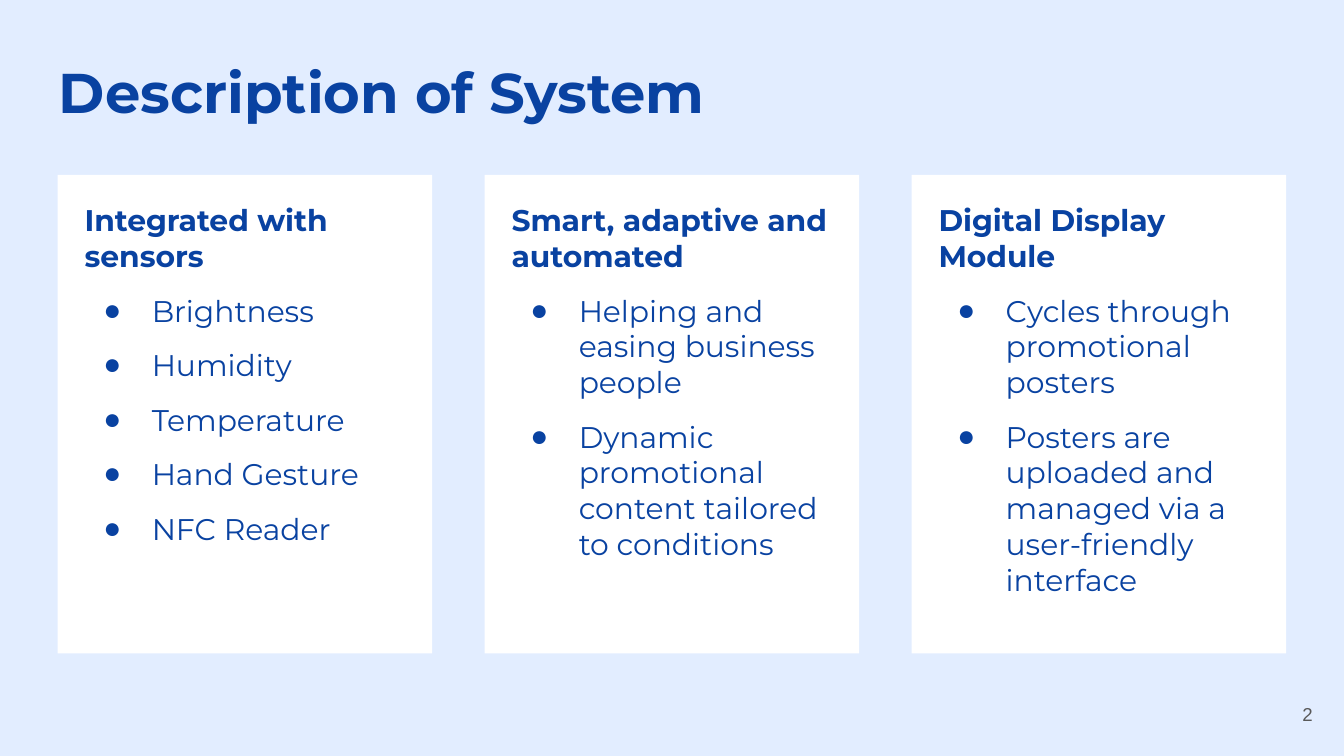
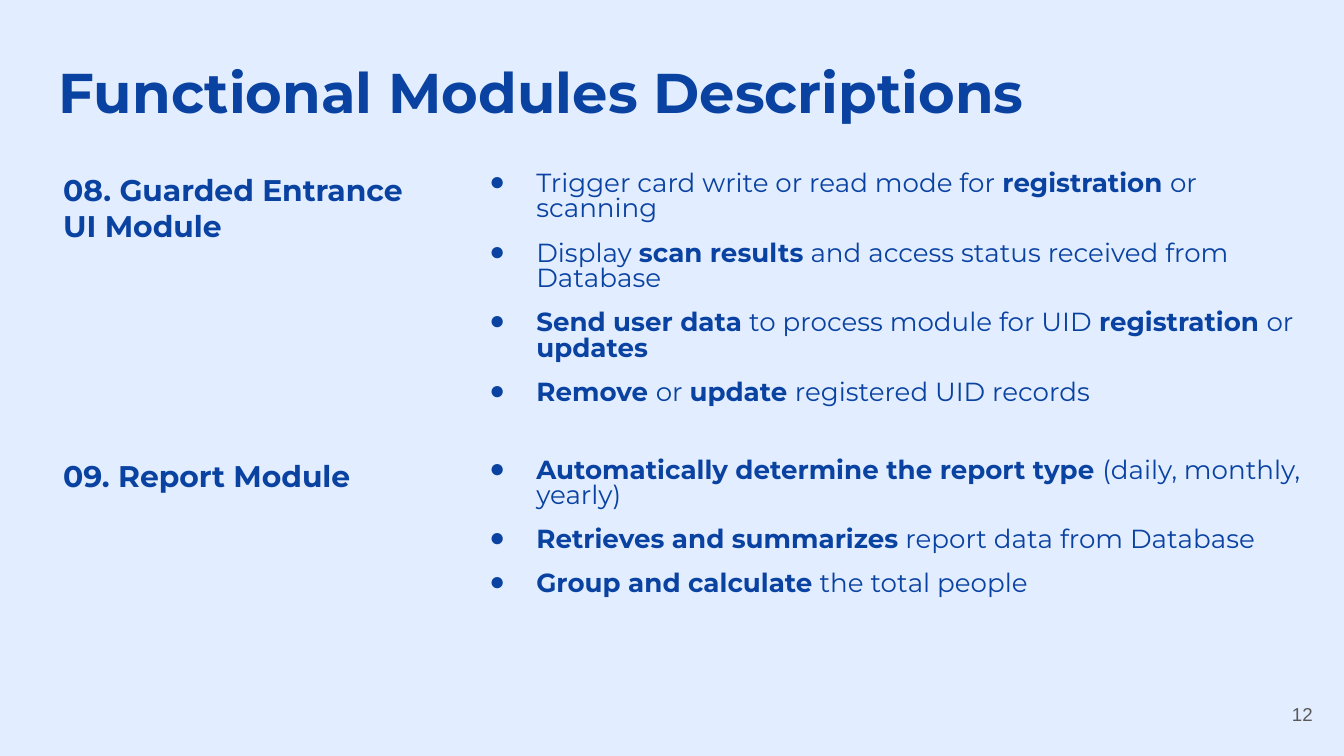
from lxml.etree import SubElement
from pptx import Presentation
from pptx.dml.color import RGBColor
from pptx.enum.shapes import MSO_SHAPE
from pptx.enum.text import MSO_ANCHOR, PP_ALIGN
from pptx.oxml.ns import qn
from pptx.util import Inches, Pt

W = Inches(10)
H = W * 9 // 16
COLORS = {"back": "E2EDFF", "ink": "0942A1", "card": "FFFFFF", "number": "595959"}
FONT, PLAIN_FONT = "Montserrat", "Arial"
MARGIN = W // 100


def share(left, top, width, height):
    return [int(W * left / 100), int(H * top / 100),
            int(W * width / 100), int(H * height / 100)]


TITLE_BOX = share(3.41, 5.87, 93.18, 11.2)
NUMBER_BOX = share(92.65, 90.67, 6, 7.65)
CARDS_BOX = share(4.3, 23.15, 91.4, 63.3)
MODULES_BOX = share(3.7, 21, 94.4, 58.3)
CARD_GAP = W * 39 // 1000
LABEL_SHARE = 0.32
ROW_SHARES = (0.65, 0.35)

CARDS = [
    ("Integrated with sensors",
     ["Brightness", "Humidity", "Temperature", "Hand Gesture", "NFC Reader"]),
    ("Smart, adaptive and automated",
     ["Helping and easing business people",
      "Dynamic promotional content tailored to conditions"]),
    ("Digital Display Module",
     ["Cycles through promotional posters",
      "Posters are uploaded and managed via a user-friendly interface"]),
]

MODULES = [
    ("08. Guarded Entrance UI Module",
     ["Trigger card write or read mode for *registration *or scanning",
      "Display *scan results* and access status received from Database",
      "*Send user data* to process module for UID *registration *or *updates*",
      "*Remove *or *update *registered UID records"]),
    ("09. Report Module",
     ["*Automatically determine the report type *(daily, monthly, yearly)",
      "*Retrieves and summarizes* report data from Database",
      "*Group and calculate* the total people"]),
]


def rgb(name):
    return RGBColor.from_string(COLORS[name])


def add_run(p, text, size, bold=False, font=FONT, color="ink"):
    r = p.add_run()
    r.text = text
    r.font.size = Pt(size)
    r.font.bold = bold
    r.font.name = font
    r.font.color.rgb = rgb(color)


def set_margins(target, margin):
    target.margin_left = target.margin_right = margin
    target.margin_top = target.margin_bottom = margin


def add_bullet(p, indent):
    pPr = p._p.get_or_add_pPr()
    pPr.set("marL", str(Inches(0.5)))
    pPr.set("indent", str(-Inches(indent)))
    SubElement(SubElement(pPr, qn("a:buClr")), qn("a:srgbClr"), val=COLORS["ink"])
    SubElement(pPr, qn("a:buFont"), typeface=PLAIN_FONT)
    SubElement(pPr, qn("a:buChar"), char="●")


def fill_bullet(p, marked_text, size, indent, before=10):
    add_bullet(p, indent)
    p.space_before = Pt(before)
    for i, part in enumerate(marked_text.split("*")):
        if part:
            add_run(p, part, size, bold=i % 2 == 1)


def add_text(s, box, text, size, anchor=MSO_ANCHOR.TOP, align=PP_ALIGN.LEFT, **style):
    tf = s.shapes.add_textbox(*box).text_frame
    tf.word_wrap = True
    tf.vertical_anchor = anchor
    set_margins(tf, MARGIN)
    p = tf.paragraphs[0]
    p.alignment = align
    add_run(p, text, size, **style)


def add_base(prs, title, number):
    s = prs.slides.add_slide(prs.slide_layouts[6])
    s.background.fill.solid()
    s.background.fill.fore_color.rgb = rgb("back")
    add_text(s, TITLE_BOX, title, 30, bold=True)
    add_text(s, NUMBER_BOX, str(number), 10, MSO_ANCHOR.MIDDLE, PP_ALIGN.RIGHT,
             font=PLAIN_FONT, color="number")
    return s


def add_card(s, box, heading, items):
    sp = s.shapes.add_shape(MSO_SHAPE.RECTANGLE, *box)
    sp.shadow.inherit = False
    sp.fill.solid()
    sp.fill.fore_color.rgb = rgb("card")
    sp.line.fill.background()
    tf = sp.text_frame
    tf.word_wrap = True
    tf.vertical_anchor = MSO_ANCHOR.TOP
    set_margins(tf, 2 * MARGIN)
    p = tf.paragraphs[0]
    p.alignment = PP_ALIGN.LEFT
    add_run(p, heading, 16, bold=True)
    for item in items:
        p = tf.add_paragraph()
        p.alignment = PP_ALIGN.LEFT
        fill_bullet(p, item, 16, 0.36)
    p.space_after = Pt(10)


def add_cards(s, box, cards):
    left, top, width, height = box
    card_width = (width - CARD_GAP * (len(cards) - 1)) // len(cards)
    for i, (heading, items) in enumerate(cards):
        x = left + i * (card_width + CARD_GAP)
        add_card(s, (x, top, card_width, height), heading, items)


def clear_cell(cell):
    tcPr = cell._tc.get_or_add_tcPr()
    for side in ("lnL", "lnR", "lnT", "lnB"):
        SubElement(SubElement(tcPr, qn("a:" + side)), qn("a:noFill"))
    cell.fill.background()
    set_margins(cell, MARGIN)


def add_modules(s, box, modules):
    width, height = box[2:]
    table = s.shapes.add_table(len(modules), 2, *box).table
    table.first_row = table.horz_banding = False
    table.columns[0].width = int(width * LABEL_SHARE)
    table.columns[1].width = int(width * (1 - LABEL_SHARE))
    for i, (label, items) in enumerate(modules):
        table.rows[i].height = int(height * ROW_SHARES[i])
        label_cell, items_cell = table.cell(i, 0), table.cell(i, 1)
        clear_cell(label_cell)
        clear_cell(items_cell)
        add_run(label_cell.text_frame.paragraphs[0], label, 16, bold=True)
        tf = items_cell.text_frame
        for j, item in enumerate(items):
            p = tf.add_paragraph() if j else tf.paragraphs[0]
            fill_bullet(p, item, 14, 0.35, before=10 if j else 0)
            p.line_spacing = 0.8


def main():
    prs = Presentation()
    prs.slide_width, prs.slide_height = W, H
    add_cards(add_base(prs, "Description of System", 2), CARDS_BOX, CARDS)
    add_modules(add_base(prs, "Functional Modules Descriptions", 12), MODULES_BOX, MODULES)
    prs.save("out.pptx")


if __name__ == "__main__":
    main()
